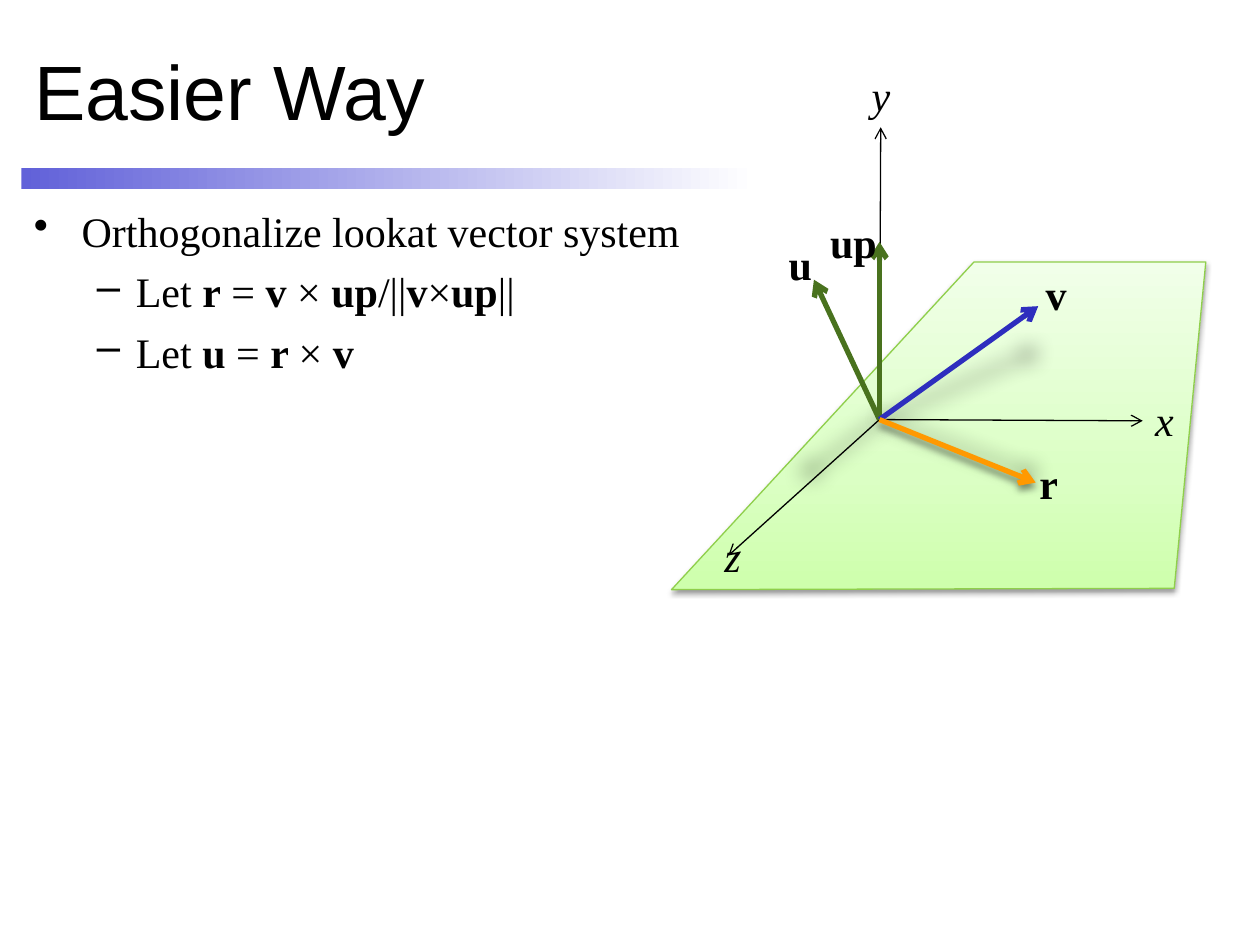
"""Build the slide on orthogonalizing a lookat vector system."""
from pptx import Presentation
from pptx import util as u
from pptx.dml import color
from pptx.enum import shapes, text
from pptx.oxml import ns, parse_xml

PX_PER_INCH = 100
SERIF = "Times New Roman"
BLACK, WHITE, GREEN, BLUE, ORANGE = "000000", "FFFFFF", "49721E", "2E2EBE", "FF9900"
FAR_SHADOW = (40, 12, 200)


def px(length):
    """Turn a length in px into EMU."""
    return u.Emu(round(length * u.Inches(1) / PX_PER_INCH))


def rgb(value):
    """Turn a hex string into a colour."""
    return color.RGBColor.from_string(value)


def xml(tag, attributes="", inner=""):
    """Make one DrawingML element."""
    return parse_xml(f'<a:{tag} {ns.nsdecls("a")} {attributes}>{inner}</a:{tag}>')


def add_run(paragraph, words, size=24, font=SERIF, bold=False, italic=False):
    """Add formatted words to a paragraph."""
    run = paragraph.add_run()
    run.text = words
    run.font.size, run.font.name = u.Pt(size), font
    run.font.bold, run.font.italic = bold, italic
    run.font.color.rgb = rgb(BLACK)


def set_gradient(shape, stops, angle):
    """Fill a shape with a linear gradient, its angle clockwise in degrees."""
    marks = "".join(f'<a:gs pos="{at * 1000}"><a:srgbClr val="{value}"/></a:gs>'
                    for at, value in stops)
    shape.fill.background()
    empty = shape._element.spPr.find(ns.qn("a:noFill"))
    empty.getparent().replace(empty, xml(
        "gradFill", 'rotWithShape="1"',
        f'<a:gsLst>{marks}</a:gsLst><a:lin ang="{angle * 60000}" scaled="0"/>'))


def set_shadow(shape, shadow=None):
    """Give a shape a downward shadow of (opacity, blur, distance), or none."""
    inner = ""
    if shadow:
        opacity, blur, distance = shadow
        inner = (f'<a:outerShdw blurRad="{u.Pt(blur)}" dist="{u.Pt(distance)}" '
                 f'dir="5400000" rotWithShape="0"><a:srgbClr val="{BLACK}">'
                 f'<a:alpha val="{opacity * 1000}"/></a:srgbClr></a:outerShdw>')
    shape._element.spPr.append(xml("effectLst", inner=inner))


def add_heading(slide, left, top, width, height):
    """Place the title with the fading bar below it."""
    bar = slide.shapes.add_shape(shapes.MSO_SHAPE.RECTANGLE, px(left),
                                 px(top + height + 8), px(width), px(17))
    set_gradient(bar, [(0, "6161D9"), (100, WHITE)], 0)
    bar.line.fill.background()
    set_shadow(bar)
    title = slide.shapes.title
    title.left, title.top, title.width, title.height = map(px, (left, top, width, height))
    frame = title.text_frame
    frame.auto_size = text.MSO_AUTO_SIZE.NONE
    frame.vertical_anchor = text.MSO_ANCHOR.MIDDLE
    frame.paragraphs[0].alignment = text.PP_ALIGN.LEFT
    add_run(frame.paragraphs[0], "Easier Way", size=44, font="Arial")


def add_steps(slide, left, top, width, height):
    """Write the bulleted steps; every second piece of a line is bold."""
    steps = [
        (0, ["Orthogonalize lookat vector system"]),
        (1, ["Let ", "r", " = ", "v ", "× ", "up", "/||", "v", "×", "up", "||"]),
        (1, ["Let ", "u ", "= ", "r ", "× ", "v"]),
    ]
    bullets = [("•", 38, 38), ("–", 81, 31)]
    frame = slide.shapes.add_textbox(*map(px, (left, top, width, height))).text_frame
    frame.word_wrap = True
    for index, (level, pieces) in enumerate(steps):
        paragraph = frame.add_paragraph() if index else frame.paragraphs[0]
        paragraph.level = level
        paragraph.space_before = u.Pt(5.8)
        mark, margin, hanging = bullets[level]
        properties = paragraph._p.get_or_add_pPr()
        properties.set("marL", str(px(margin)))
        properties.set("indent", str(-px(hanging)))
        properties.append(xml("buChar", f'char="{mark}"'))
        for number, piece in enumerate(pieces):
            add_run(paragraph, piece, bold=number % 2 == 1)


def add_arrow(slide, start, end, stroke, weight=3, shadow=None):
    """Draw an arrow between two points."""
    arrow = slide.shapes.add_connector(shapes.MSO_CONNECTOR.STRAIGHT,
                                       *map(px, (*start, *end)))
    arrow.line.color.rgb = rgb(stroke)
    arrow.line.width = u.Pt(weight)
    arrow.line._get_or_add_ln().append(xml("tailEnd", 'type="arrow"'))
    set_shadow(arrow, shadow)


def add_label(slide, left, top, width, name, **style):
    """Name an axis or a vector."""
    frame = slide.shapes.add_textbox(*map(px, (left, top, width, 50))).text_frame
    frame.word_wrap = False
    frame.auto_size = text.MSO_AUTO_SIZE.SHAPE_TO_FIT_TEXT
    add_run(frame.paragraphs[0], name, **style)


def add_diagram(slide, left, top):
    """Draw the ground plane, the axes and the vectors."""
    def at(x, y):
        return left + x, top + y

    corners = [at(0, 468), at(240, 208), at(424, 208), at(399, 467)]
    outline = slide.shapes.build_freeform(*corners[0], scale=px(1))
    outline.add_line_segments(corners[1:], close=True)
    plane = outline.convert_to_shape()
    set_gradient(plane, [(0, "CEFFAC"), (35, "DBFFC4"), (100, "F1FFE9")], 270)
    plane.line.color.rgb = rgb("8FCF4B")
    plane.line.width = u.Pt(0.75)
    set_shadow(plane, (38, 3.1, 1.6))

    origin = at(165, 333)
    for tip, corner, name in [((45, 441), (32, 416), "z"),
                              ((166, 101), (149, 50), "y"),
                              ((374, 334), (374, 308), "x")]:
        add_arrow(slide, origin, at(*tip), BLACK, weight=0.75)
        add_label(slide, *at(*corner), 35, name, italic=True)

    shadow_origin = at(166, 55)
    for tip in [(291, 0), (103, 101), (291, 101)]:
        add_arrow(slide, shadow_origin, at(*tip), WHITE, shadow=FAR_SHADOW)

    for tip, stroke, shadow, corner, width, name in [
            ((165, 192), GREEN, None, (116, 167), 58, "up"),
            ((113, 222), GREEN, None, (83, 184), 39, "u"),
            ((291, 243), BLUE, None, (287, 208), 37, "v"),
            ((289, 383), ORANGE, (40, 4, 3), (282, 358), 35, "r")]:
        add_arrow(slide, origin, at(*tip), stroke, shadow=shadow)
        add_label(slide, *at(*corner), width, name, bold=True)


def main():
    """Build and save the presentation."""
    deck = Presentation()
    deck.slide_width, deck.slide_height = px(1000), px(750)
    slide = deck.slides.add_slide(deck.slide_layouts[5])
    add_heading(slide, 17, 17, 583, 108)
    add_steps(slide, 17, 158, 583, 575)
    add_diagram(slide, 533, 0)
    deck.save("out.pptx")


if __name__ == "__main__":
    main()
